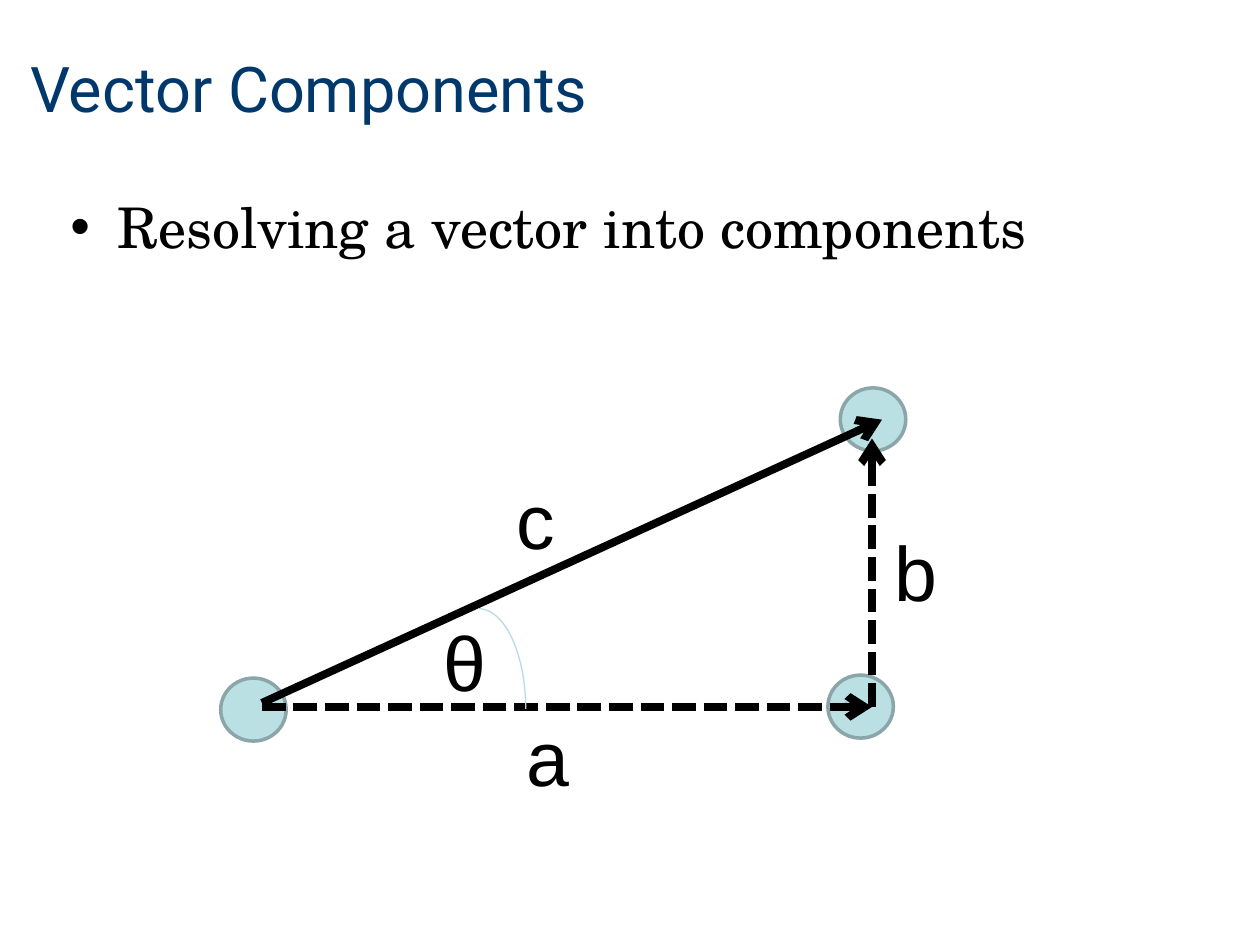
from dataclasses import dataclass

from lxml import etree
from pptx import Presentation
from pptx import util as u
from pptx.dml.color import RGBColor
from pptx.enum import dml, shapes, text
from pptx.oxml.ns import qn

BLACK, WHITE, NAVY = "000000", "FFFFFF", "00386B"
POINT_FILL, POINT_EDGE, ANGLE_EDGE = "BBE0E3", "8AA6A8", "B6DCDF"


@dataclass
class Label:
    wording: str
    left: float
    top: float
    width: float = 6.99
    height: float = 2.13
    size: float = 44
    font: str = "Arial"


@dataclass
class Vector:
    start: tuple[float, float]
    end: tuple[float, float]
    dashed: bool = True


def colour(value: str) -> RGBColor:
    return RGBColor.from_string(value)


def apply(target, values: dict) -> None:
    for name, value in values.items():
        setattr(target, name, value)


def write(frame, wording: str, size: float, font: str, ink: str):
    paragraph = frame.paragraphs[0]
    paragraph.alignment = text.PP_ALIGN.LEFT
    run = paragraph.add_run()
    run.text = wording
    apply(run.font, {"size": u.Pt(size), "name": font})
    run.font.color.rgb = colour(ink)
    return paragraph


def draw_shape(slide, kind, box: tuple, fill: str = "", edge: str = "", weight: float = 0):
    drawn = slide.shapes.add_shape(kind, *map(u.Cm, box))
    drawn.shadow.inherit = False
    if fill:
        drawn.fill.solid()
        drawn.fill.fore_color.rgb = colour(fill)
    else:
        drawn.fill.background()
    if edge:
        drawn.line.color.rgb = colour(edge)
        drawn.line.width = u.Pt(weight)
    else:
        drawn.line.fill.background()
    return drawn


def draw_label(slide, label: Label):
    box = label.left, label.top, label.width, label.height
    frame = slide.shapes.add_textbox(*map(u.Cm, box)).text_frame
    frame.word_wrap = True
    return write(frame, label.wording, label.size, label.font, BLACK)


def draw_vector(slide, vector: Vector) -> None:
    ends = map(u.Cm, vector.start + vector.end)
    arrow = slide.shapes.add_connector(shapes.MSO_CONNECTOR.STRAIGHT, *ends)
    arrow.line.color.rgb = colour(BLACK)
    arrow.line.width = u.Pt(4.5)
    if vector.dashed:
        arrow.line.dash_style = dml.MSO_LINE.SQUARE_DOT
    properties = arrow._element.spPr
    etree.SubElement(properties.find(qn("a:ln")), qn("a:tailEnd"), type="arrow")
    etree.SubElement(properties, qn("a:effectLst"))


def add_bullet(paragraph, indent: float) -> None:
    paragraph.space_before = u.Pt(6.4)
    properties = paragraph._p.get_or_add_pPr()
    properties.set("marL", str(u.Cm(indent)))
    properties.set("indent", str(u.Cm(-indent)))
    etree.SubElement(properties, qn("a:buFont"), typeface="Arial")
    etree.SubElement(properties, qn("a:buChar"), char="•")


def draw_title(slide) -> None:
    band = draw_shape(slide, shapes.MSO_SHAPE.RECTANGLE, (-0.89, 0.05, 27.41, 3.43), WHITE)
    frame = band.text_frame
    apply(frame, {
        "word_wrap": True,
        "vertical_anchor": text.MSO_ANCHOR.MIDDLE,
        "margin_left": u.Cm(1.5),
    })
    write(frame, "Vector Components", 36, "Roboto", NAVY)


POINTS = [(16.69, 13.61), (4.45, 13.67), (16.94, 7.82)]
STATEMENT = Label("Resolving a vector into components", 1.17, 3.76, 22.86, 12.57, 32, "TeX Gyre Schola")
LABELS = [
    Label("a", 10.36, 14.17),
    Label("b", 17.78, 10.44),
    Label("c", 10.16, 9.4),
    Label("θ", 8.69, 12.27),
]
CORNER = (17.58, 14.25)
VECTORS = [
    Vector((5.28, 14.17), (17.78, 8.46), dashed=False),
    Vector((5.28, 14.25), CORNER),
    Vector(CORNER, (17.58, 8.84)),
]


def main() -> None:
    deck = Presentation()
    apply(deck, {"slide_width": u.Cm(25.4), "slide_height": u.Cm(19.05)})
    slide = deck.slides.add_slide(deck.slide_layouts[6])
    for point in POINTS:
        draw_shape(slide, shapes.MSO_SHAPE.OVAL, (*point, 1.32, 1.27), POINT_FILL, POINT_EDGE, 2)
    add_bullet(draw_label(slide, STATEMENT), 0.95)
    for label in LABELS:
        draw_label(slide, label)
    for vector in VECTORS:
        draw_vector(slide, vector)
    draw_shape(slide, shapes.MSO_SHAPE.ARC, (8.69, 12.27, 1.91, 4.04), edge=ANGLE_EDGE, weight=0.75)
    draw_title(slide)
    deck.save("out.pptx")


main()
